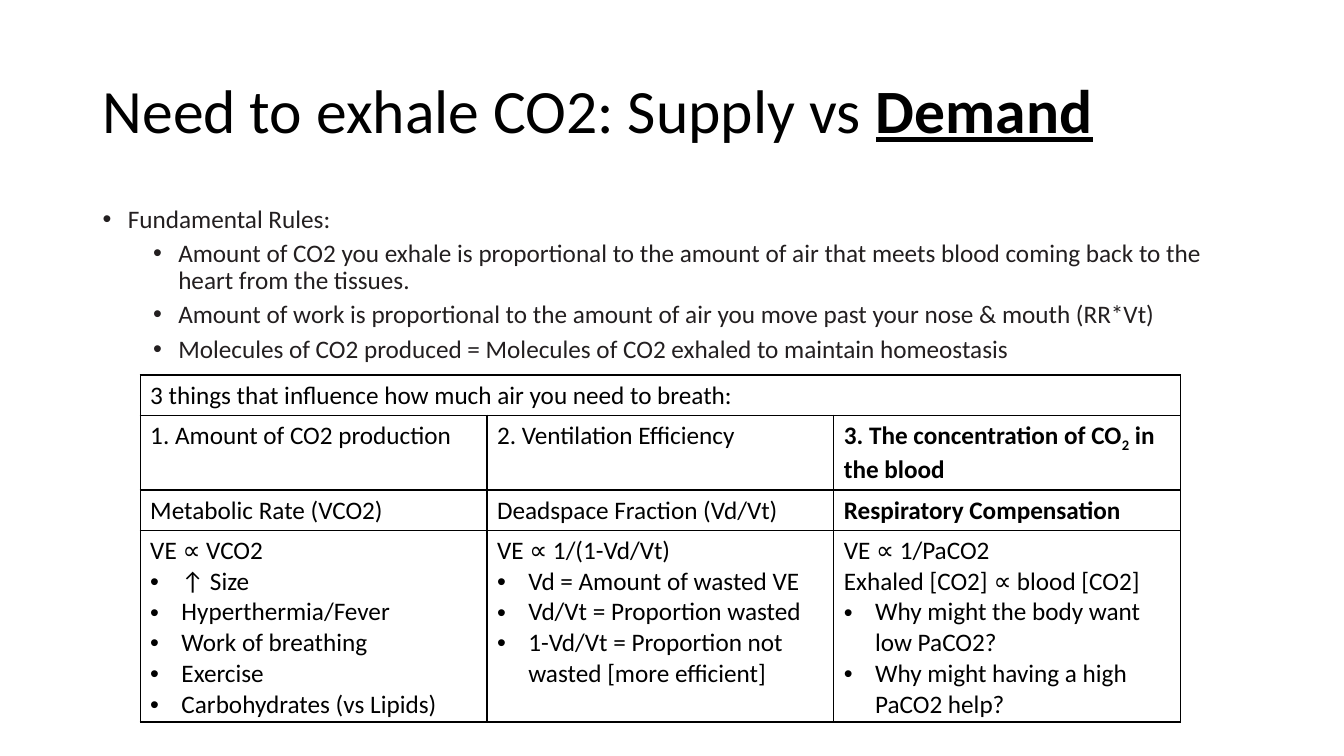
from dataclasses import dataclass

from lxml.etree import SubElement
from pptx import Presentation
from pptx.dml.color import RGBColor
from pptx.enum.text import MSO_ANCHOR
from pptx.oxml import parse_xml
from pptx.oxml.ns import nsdecls, qn
from pptx.util import Inches, Pt


@dataclass(frozen=True)
class Theme:
    font: str = "Calibri"
    black: str = "000000"
    ink: str = "231F20"
    title: int = 44
    body: int = 18
    border: int = 1


class Deck:
    def __init__(self, theme):
        self.theme = theme
        self.prs = Presentation()
        self.prs.slide_width = Inches(13.33)
        self.prs.slide_height = Inches(7.5)
        self.slide = self.prs.slides.add_slide(self.prs.slide_layouts[6])

    def run(self, para, text, size, color, bold=False, under=False, base=0):
        """Add one styled run; base is the baseline shift in percent."""
        run = para.add_run()
        run.text = text
        font = run.font
        font.name, font.size, font.bold = self.theme.font, Pt(size), bold
        font.underline = under
        font.color.rgb = RGBColor.from_string(color)
        if base:
            font._element.set("baseline", str(base * 1000))

    def bullet(self, para, left, hang):
        """Hang a bullet so that the text starts at left inches."""
        props = para._p.get_or_add_pPr()
        props.set("marL", str(Inches(left)))
        props.set("indent", str(-Inches(hang)))
        SubElement(props, qn("a:buFont"), typeface="Arial")
        SubElement(props, qn("a:buChar"), char="•")

    def box(self, left, top, width, height, anchor=MSO_ANCHOR.TOP):
        shape = self.slide.shapes.add_textbox(
            Inches(left), Inches(top), Inches(width), Inches(height))
        frame = shape.text_frame
        frame.word_wrap = True
        frame.vertical_anchor = anchor
        return frame

    def title(self, plain, strong, *place):
        para = self.box(*place, MSO_ANCHOR.MIDDLE).paragraphs[0]
        para.line_spacing = 0.9
        look = self.theme.title, self.theme.black
        self.run(para, plain, *look)
        self.run(para, strong, *look, bold=True, under=True)

    def rules(self, head, points, *place):
        frame = self.box(*place)
        for i, text in enumerate([head, *points]):
            para = frame.add_paragraph() if i else frame.paragraphs[0]
            para.line_spacing = 0.9
            if i:
                para.level = 1
                para.space_before = Pt(5)
            self.bullet(para, 0.75 if i else 0.25, 0.25)
            self.run(para, text, self.theme.body, self.theme.ink)

    def fill(self, cell, lines, bold):
        """Write lines into a cell; a line is a string or (text, base) pairs.

        A string that starts with a bullet becomes a bulleted paragraph.
        """
        for i, line in enumerate(lines):
            frame = cell.text_frame
            para = frame.add_paragraph() if i else frame.paragraphs[0]
            if isinstance(line, str):
                if line.startswith("•"):
                    self.bullet(para, 0.31, 0.31)
                line = [(line.removeprefix("•"), 0)]
            for text, base in line:
                self.run(para, text, self.theme.body, self.theme.black,
                         bold=bold, base=base)

    def border(self, cell):
        cell.fill.background()
        props = cell._tc.get_or_add_tcPr()
        for i, side in enumerate(("lnL", "lnR", "lnT", "lnB")):
            props.insert(i, parse_xml(
                f'<a:{side} {nsdecls("a")} w="{Pt(self.theme.border)}">'
                f'<a:solidFill><a:srgbClr val="{self.theme.black}"/>'
                f'</a:solidFill></a:{side}>'))

    def table(self, head, rows, left, top, width, heights):
        """Draw a grid with a merged head row and a bold last column."""
        cols = len(rows[0])
        grid = self.slide.shapes.add_table(
            len(heights), cols, Inches(left), Inches(top),
            Inches(width), Inches(sum(heights))).table
        grid.first_row = grid.horz_banding = False
        for col in grid.columns:
            col.width = Inches(width / cols)
        for row, height in zip(grid.rows, heights):
            row.height = Inches(height)
        for cell in grid.iter_cells():
            self.border(cell)
        grid.cell(0, 0).merge(grid.cell(0, cols - 1))
        self.fill(grid.cell(0, 0), [head], False)
        for r, row in enumerate(rows, 1):
            for c, lines in enumerate(row):
                strong = c == cols - 1 and r < len(rows)
                self.fill(grid.cell(r, c), lines, strong)


FACTORS = [
    [["1. Amount of CO2 production"],
     ["2. Ventilation Efficiency"],
     [[("3. The concentration of CO", 0), ("2", -25), (" in the blood", 0)]]],
    [["Metabolic Rate (VCO2)"],
     ["Deadspace Fraction (Vd/Vt)"],
     ["Respiratory Compensation"]],
    [["VE ∝ VCO2", "•↑ Size", "•Hyperthermia/Fever", "•Work of breathing",
      "•Exercise", "•Carbohydrates (vs Lipids)"],
     ["VE ∝ 1/(1-Vd/Vt)", "•Vd = Amount of wasted VE",
      "•Vd/Vt = Proportion wasted",
      "•1-Vd/Vt = Proportion not wasted [more efficient]"],
     ["VE ∝ 1/PaCO2", "Exhaled [CO2] ∝ blood [CO2]",
      "•Why might the body want low PaCO2?",
      "•Why might having a high PaCO2 help?"]],
]


def main():
    deck = Deck(Theme())
    deck.title("Need to exhale CO2: Supply vs ", "Demand",
               0.92, 0.4, 11.5, 1.45)
    deck.rules("Fundamental Rules:", [
        "Amount of CO2 you exhale is proportional to the amount of air that "
        "meets blood coming back to the heart from the tissues.",
        "Amount of work is proportional to the amount of air you move past "
        "your nose & mouth (RR*Vt)",
        "Molecules of CO2 produced = Molecules of CO2 exhaled to maintain "
        "homeostasis",
    ], 0.92, 2, 11.5, 4.76)
    deck.table("3 things that influence how much air you need to breath:",
               FACTORS, 1.39, 3.72, 10.32, [0.36, 0.63, 0.24, 1.72])
    deck.prs.save("out.pptx")


if __name__ == "__main__":
    main()
